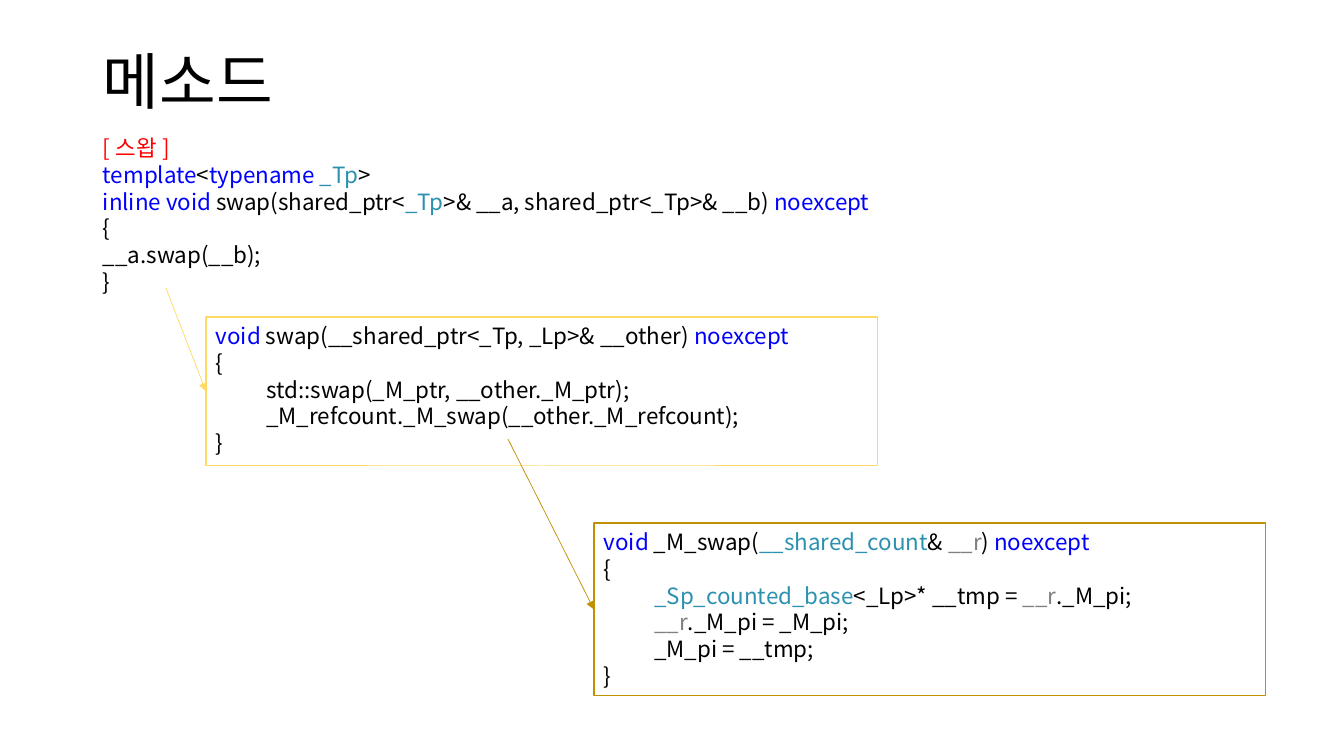
from lxml import etree
from pptx import Presentation
from pptx.dml.color import RGBColor
from pptx.enum import shapes, text
from pptx.oxml.ns import qn
from pptx.util import Emu, Pt

COLORS = {
    "plain": "000000", "keyword": "0000FF", "type": "2B91AF",
    "param": "808080", "heading": "FF0000",
    "outer": "FFD966", "inner": "BF9000",
}


class Slide:
    SCALE = 914400 / 100.8
    FONT = "Noto Sans CJK KR"
    CODE_SIZE = 16

    def __init__(self, deck):
        self.slide = deck.slides.add_slide(deck.slide_layouts[6])

    @classmethod
    def px(cls, *lengths):
        return [Emu(round(n * cls.SCALE)) for n in lengths]

    def fill_text(self, frame, lines, size, spacing=None,
                  anchor=text.MSO_ANCHOR.TOP):
        """Each line is a list of (words, colour name) runs."""
        frame.word_wrap = True
        frame.vertical_anchor = anchor
        for i, line in enumerate(lines):
            para = frame.add_paragraph() if i else frame.paragraphs[0]
            para.alignment = text.PP_ALIGN.LEFT
            para.line_spacing = spacing
            for words, color in line:
                run = para.add_run()
                run.text = words
                run.font.size = Pt(size)
                run.font.name = self.FONT
                run.font.color.rgb = RGBColor.from_string(COLORS[color])
                east_asian = etree.SubElement(run.font._element, qn("a:ea"))
                east_asian.set("typeface", self.FONT)

    def label(self, box, lines, size=CODE_SIZE, **style):
        shape = self.slide.shapes.add_textbox(*self.px(*box))
        self.fill_text(shape.text_frame, lines, size, **style)

    def code_box(self, box, lines, color):
        shape = self.slide.shapes.add_shape(
            shapes.MSO_SHAPE.RECTANGLE, *self.px(*box))
        shape.shadow.inherit = False
        shape.fill.background()
        shape.line.color.rgb = RGBColor.from_string(COLORS[color])
        shape.line.width = Pt(0.75)
        self.fill_text(shape.text_frame, lines, self.CODE_SIZE)
        return shape

    def arrow(self, start, target, color):
        """Runs from a point to the middle of the target's left side."""
        arrow = self.slide.shapes.add_connector(
            shapes.MSO_CONNECTOR.STRAIGHT, *self.px(*start, *start))
        arrow.end_connect(target, 1)
        arrow.line.color.rgb = RGBColor.from_string(COLORS[color])
        arrow.line.width = Pt(0.5)
        properties = arrow._element.spPr
        head = etree.SubElement(properties.find(qn("a:ln")), qn("a:tailEnd"))
        head.set("type", "triangle")
        etree.SubElement(properties, qn("a:effectLst"))


deck = Presentation()
deck.slide_width, deck.slide_height = Slide.px(1344, 756)
page = Slide(deck)

OPEN, CLOSE = [("{", "plain")], [("}", "plain")]
NOEXCEPT = ("noexcept", "keyword")
VOID = ("void", "keyword")

# Free function
page.label((93, 129, 1159, 173), [
    [("[스왑]", "heading")],
    [("template", "keyword"), ("<", "plain"), ("typename ", "keyword"),
     ("_Tp", "type"), (">", "plain")],
    [("inline void", "keyword"), (" swap(shared_ptr<", "plain"), ("_Tp", "type"),
     (">& __a, shared_ptr<_Tp>& __b) ", "plain"), NOEXCEPT],
    OPEN,
    [("__a.swap(__b);", "plain")],
    CLOSE,
])

# Member swap it calls
member_swap = page.code_box((206, 317, 672, 149), [
    [VOID, (" swap(__shared_ptr<_Tp, _Lp>& __other) ", "plain"), NOEXCEPT],
    OPEN,
    [("\tstd::swap(_M_ptr, __other._M_ptr);", "plain")],
    [("\t_M_refcount._M_swap(__other._M_refcount);", "plain")],
    CLOSE,
], "outer")

# Reference count swap
count_swap = page.code_box((594, 523, 672, 173), [
    [VOID, (" _M_swap(", "plain"), ("__shared_count", "type"), ("& ", "plain"),
     ("__r", "param"), (") ", "plain"), NOEXCEPT],
    OPEN,
    [("\t_Sp_counted_base", "type"), ("<_Lp>* __tmp = ", "plain"),
     ("__r", "param"), ("._M_pi;", "plain")],
    [("\t__r", "param"), ("._M_pi = _M_pi;", "plain")],
    [("\t_M_pi = __tmp;", "plain")],
    CLOSE,
], "inner")

# Call arrows
page.arrow((166, 288), member_swap, "outer")
page.arrow((508, 439), count_swap, "inner")

# Title
page.label((93, 40, 1159, 90), [[("메소드", "plain")]], size=44,
           spacing=0.9, anchor=text.MSO_ANCHOR.MIDDLE)

deck.save("out.pptx")
